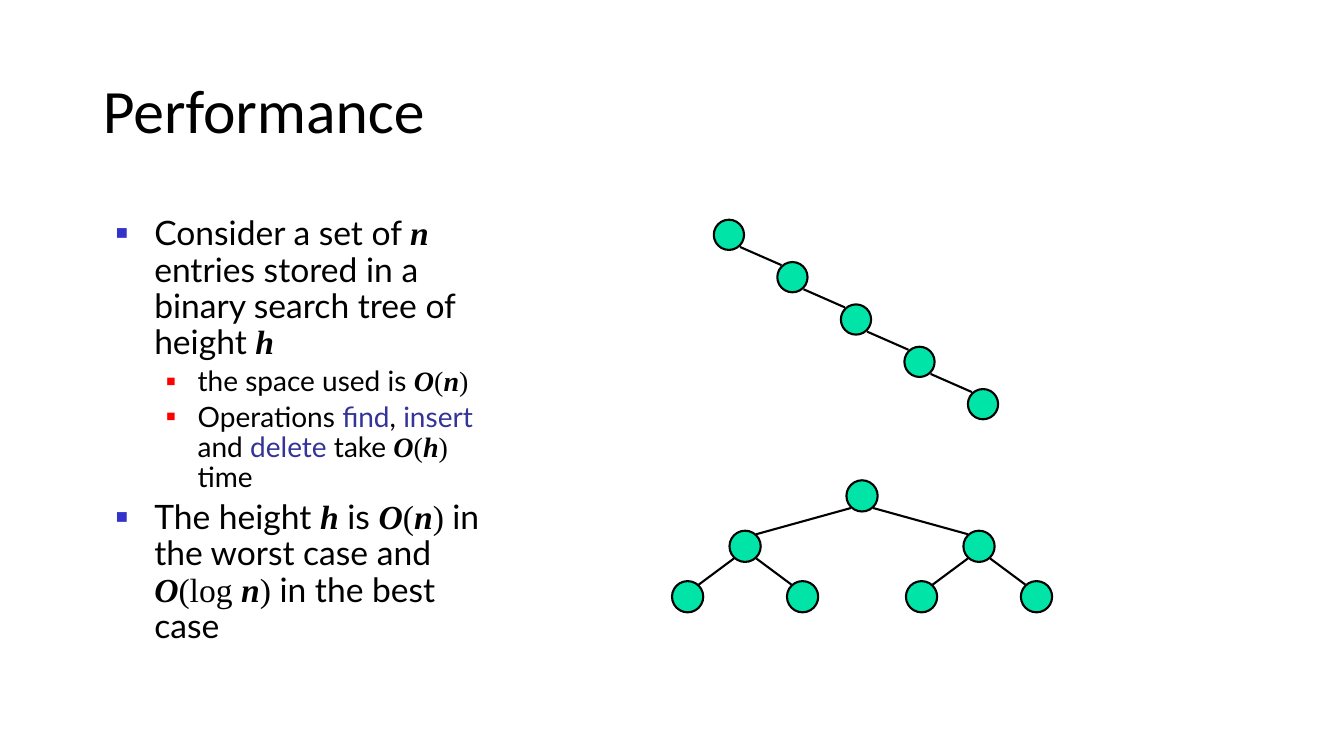
from dataclasses import dataclass

from lxml.etree import SubElement
from pptx import Presentation
from pptx.dml.color import RGBColor
from pptx.enum.shapes import MSO_CONNECTOR, MSO_SHAPE
from pptx.enum.text import MSO_ANCHOR, MSO_AUTO_SIZE, PP_ALIGN
from pptx.oxml.ns import qn
from pptx.util import Inches, Pt


@dataclass(frozen=True)
class Theme:
    ink: RGBColor = RGBColor.from_string("000000")
    node: RGBColor = RGBColor.from_string("00E4A8")
    key: RGBColor = RGBColor.from_string("333399")
    head: str = "Calibri"
    body: str = "Lato"
    math: str = "Times New Roman"
    title: int = 44
    line: float = 1.5
    # For each list level: text size, bullet colour, bullet percent, margin, hang
    levels: tuple = ((24, "3333CC", 60, 0.38, 0.38),
                     (20, "FF0000", 55, 0.81, 0.31))


theme = Theme()
deck = Presentation()
deck.slide_width, deck.slide_height = Inches(13.33), Inches(7.5)
slide = deck.slides.add_slide(deck.slide_layouts[1])
title, body = slide.placeholders


def place(holder, left, top, width, height, anchor):
    holder.left, holder.top = Inches(left), Inches(top)
    holder.width, holder.height = Inches(width), Inches(height)
    frame = holder.text_frame
    frame.word_wrap = True
    frame.auto_size = MSO_AUTO_SIZE.NONE
    frame.vertical_anchor = anchor
    return frame


# Title
frame = place(title, 0.92, 0.4, 11.5, 1.45, MSO_ANCHOR.MIDDLE)
frame.text = "Performance"
para = frame.paragraphs[0]
para.alignment = PP_ALIGN.LEFT
para.line_spacing = 0.9
para.font.size = Pt(theme.title)
para.font.name = theme.head
para.font.color.rgb = theme.ink

# List: each run has a style, "var" and "math" for formulas, "key" for operations
items = [
    (0, [("Consider a set of ", "text"), ("n", "var"),
         (" entries stored in a binary search tree of height ", "text"), ("h", "var")]),
    (1, [("the space used is ", "text"), ("O", "var"), ("(", "math"),
         ("n", "var"), (")", "math")]),
    (1, [("Operations ", "text"), ("find", "key"), (", ", "text"), ("insert", "key"),
         (" and ", "text"), ("delete", "key"), (" take ", "text"), ("O", "var"),
         ("(", "math"), ("h", "var"), (") ", "math"), ("time", "text")]),
    (0, [("The height ", "text"), ("h", "var"), (" is ", "text"), ("O", "var"),
         ("(", "math"), ("n", "var"), (") ", "math"), ("in the worst case and ", "text"),
         ("O", "var"), ("(log ", "math"), ("n", "var"), (")", "math"),
         (" in the best case", "text")]),
]
frame = place(body, 1.05, 2.1, 4.08, 5, MSO_ANCHOR.TOP)
for index, (level, runs) in enumerate(items):
    para = frame.add_paragraph() if index else frame.paragraphs[0]
    size, color, percent, margin, hang = theme.levels[level]
    para.level = level
    para.line_spacing = 0.9
    para.space_before = Pt(size * 0.2)
    props = para._p.get_or_add_pPr()
    props.set("marL", str(Inches(margin)))
    props.set("indent", str(-Inches(hang)))
    SubElement(SubElement(props, qn("a:buClr")), qn("a:srgbClr"), val=color)
    SubElement(props, qn("a:buSzPct"), val=str(percent * 1000))
    SubElement(props, qn("a:buChar"), char="■")
    for text, style in runs:
        run = para.add_run()
        run.text = text
        font = run.font
        font.size = Pt(size)
        font.name = theme.math if style in ("var", "math") else theme.body
        font.bold = font.italic = style == "var"
        font.color.rgb = theme.key if style == "key" else theme.ink

# Worst case: a chain; best case: a full tree. Nodes are centre points.
chain = [(7.23 + 0.63 * step, 2.33 + 0.42 * step) for step in range(5)]
edges = list(zip(chain, chain[1:]))
root = (8.55, 4.92)
full = [root]
for side in (-1, 1):
    child = (root[0] + side * 1.16, root[1] + 0.5)
    leaves = [(child[0] + turn * 0.57, child[1] + 0.5) for turn in (-1, 1)]
    full += [child, *leaves]
    edges += [(root, child)] + [(child, leaf) for leaf in leaves]

for (left, top), (right, base) in edges:
    shift = 0.11 if right > left else -0.11
    edge = slide.shapes.add_connector(
        MSO_CONNECTOR.STRAIGHT, Inches(left + shift), Inches(top + 0.12),
        Inches(right - shift), Inches(base - 0.12))
    edge.line.color.rgb = theme.ink
    edge.line.width = Pt(theme.line)
    SubElement(edge._element.spPr, qn("a:effectLst"))

for nodes, size in ((chain, 0.3), (full, 0.31)):
    for x, y in nodes:
        node = slide.shapes.add_shape(
            MSO_SHAPE.OVAL, Inches(x - size / 2), Inches(y - size / 2),
            Inches(size), Inches(size))
        node.shadow.inherit = False
        node.fill.solid()
        node.fill.fore_color.rgb = theme.node
        node.line.color.rgb = theme.ink
        node.line.width = Pt(theme.line)

deck.save("out.pptx")
